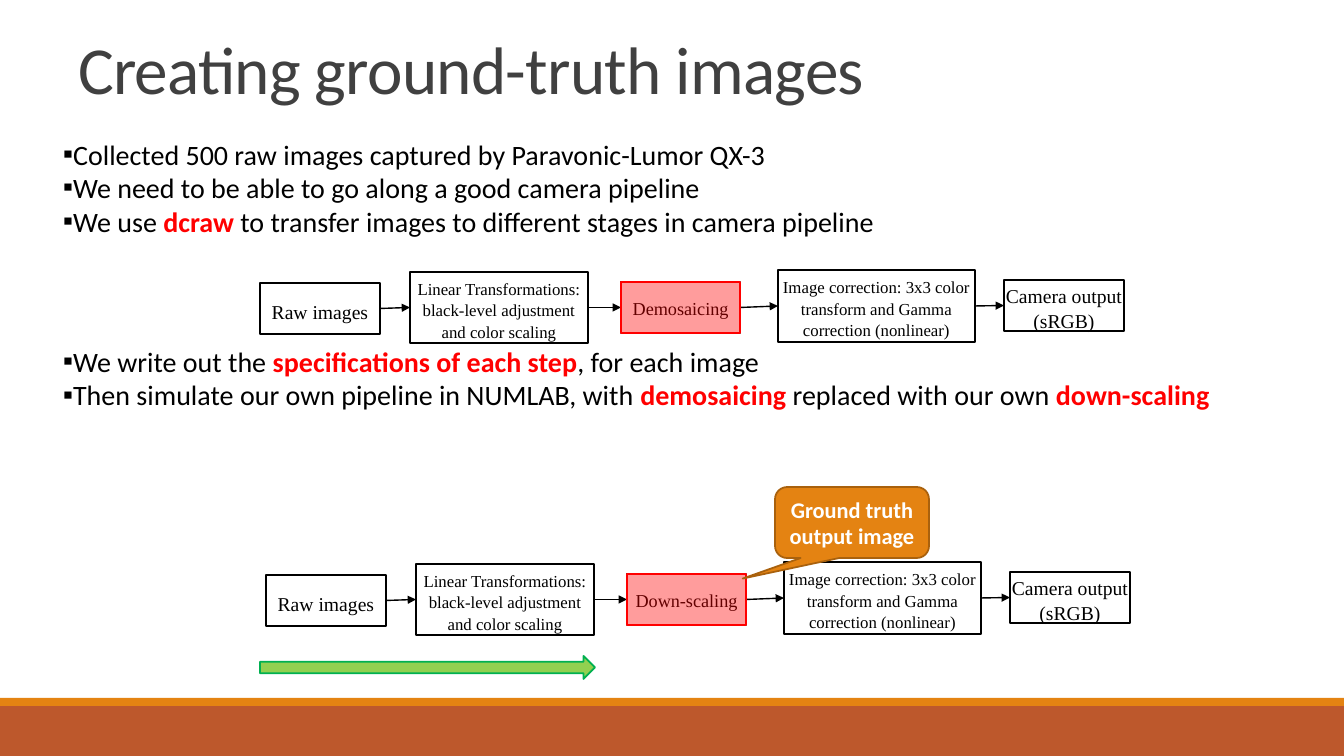
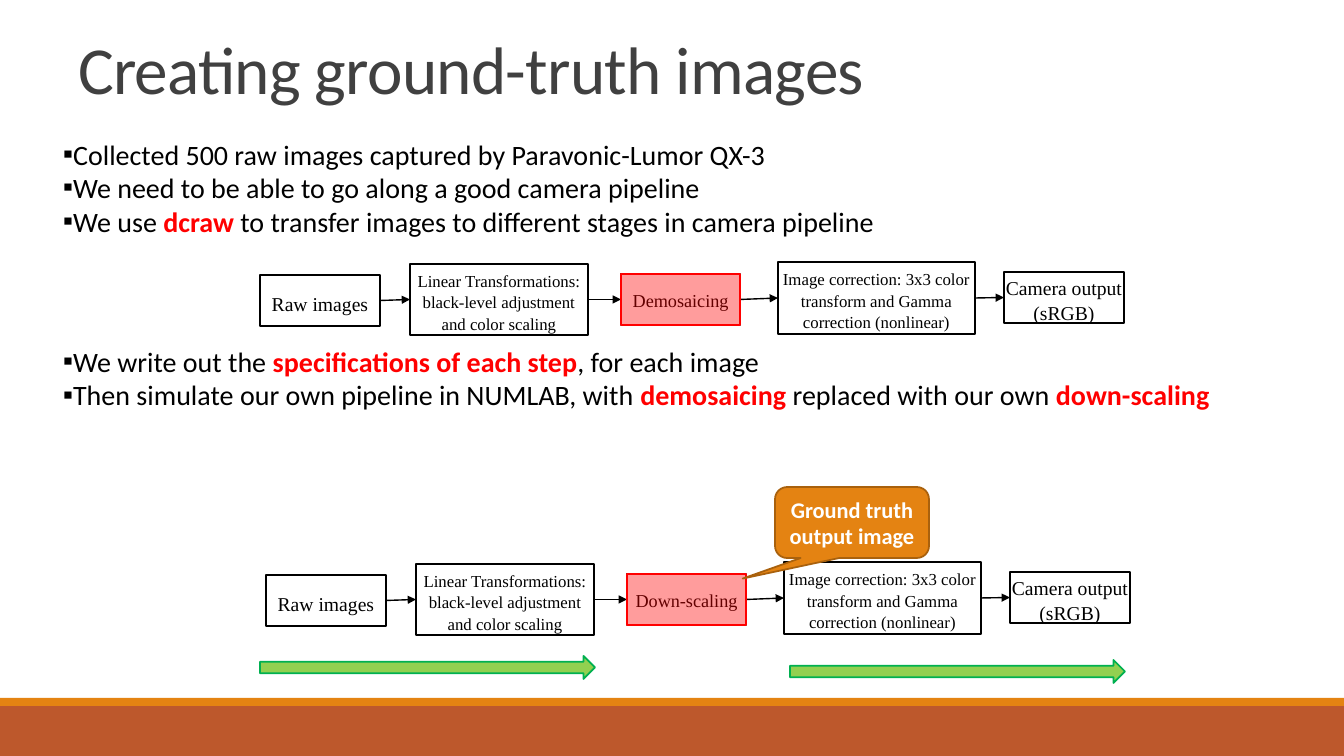
import pptx
import pptx.util
import pptx.oxml.ns
import pptx.dml.color
import pptx.enum.shapes
import pptx.enum.text
from lxml import etree

EMU_PER_PX = 914400 / 100.8
COLORS = {
    "band": "BD582C", "accent": "E48312", "accent_line": "A9610D",
    "title": "404040", "black": "000000", "white": "FFFFFF",
    "red": "FF0000", "green": "92D050", "green_line": "00B050",
}
BODY_FONT = "Calibri"
DIAGRAM_FONT = "Times New Roman"
SHAPES = pptx.enum.shapes.MSO_SHAPE
ANCHOR = pptx.enum.text.MSO_ANCHOR
ALIGN = pptx.enum.text.PP_ALIGN

SLIDE_SIZE = (1344, 756)
BANDS = [((0, 706, 1344, 50), "band"), ((0, 698, 1344, 8), "accent")]
TITLE = "Creating ground-truth images"
TITLE_BOX = (53, 31, 1246, 82)
BODY_BOX = (53, 132, 1267, 572)
DIAGRAM_GAP = 76
BULLETS = [
    (0, [("Collected 500 raw images captured by Paravonic-Lumor QX-3", False)]),
    (0, [("We need to be able to go along a good camera pipeline", False)]),
    (0, [("We use ", False), ("dcraw ", True),
         ("to transfer images to different stages in camera pipeline", False)]),
    (DIAGRAM_GAP, [("We write out the ", False), ("specifications of each step", True),
                   (", for each image", False)]),
    (0, [("Then simulate our own pipeline in NUMLAB, with ", False), ("demosaicing ", True),
         ("replaced with our own ", False), ("down-scaling", True)]),
]

HIGHLIGHT_STAGE = 2
STAGE_BOXES = [(0, 13, 120, 51), (150, 2, 178, 71), (361, 12, 119, 51),
               (518, 0, 197, 72), (744, 10, 120, 51)]
STAGE_SIZES = [14, 12, 13, 12, 14]
STAGE_TOP_INSETS = [4, 4, 0, 4, 4]


def stage_labels(highlight):
    return [
        ["Raw images"],
        ["Linear Transformations:", "black-level adjustment and color scaling"],
        [highlight],
        ["Image correction: 3x3 color transform and Gamma correction (nonlinear)"],
        ["Camera output (sRGB)"],
    ]


SIMULATED_ORIGIN = (266, 562)
CALLOUT_BOX = (775, 487, 154, 71)
CALLOUT_ADJUSTMENTS = (-0.71, 0.79, 0.17)
LEFT_ARROW = (260, 656, 335, 23)
RIGHT_ARROW = (790, 660, 335, 23)
SLIDES = [
    {"camera_origin": (260, 270), "arrows": [LEFT_ARROW]},
    {"camera_origin": (260, 262), "arrows": [LEFT_ARROW, RIGHT_ARROW]},
]


def px(value):
    return pptx.util.Emu(round(value * EMU_PER_PX))


def rgb(name):
    return pptx.dml.color.RGBColor.from_string(COLORS[name])


def add_run(paragraph, text, font, size, color, bold=False):
    run = paragraph.add_run()
    run.text = text
    run.font.name = font
    run.font.size = pptx.util.Pt(size)
    run.font.color.rgb = rgb(color)
    run.font.bold = bold
    return run


def add_block(slide, kind, box, fill, line=None):
    shape = slide.shapes.add_shape(kind, *map(px, box))
    shape.shadow.inherit = False
    shape.fill.solid()
    shape.fill.fore_color.rgb = rgb(fill)
    if line:
        shape.line.color.rgb = rgb(line)
        shape.line.width = pptx.util.Pt(1.25)
    else:
        shape.line.fill.background()
    return shape


def place(placeholder, box):
    placeholder.left, placeholder.top, placeholder.width, placeholder.height = map(px, box)
    frame = placeholder.text_frame
    frame.word_wrap = True
    frame.auto_size = pptx.enum.text.MSO_AUTO_SIZE.NONE
    return frame


def add_title(slide):
    frame = place(slide.shapes.title, TITLE_BOX)
    frame.margin_left = px(25)
    frame.vertical_anchor = ANCHOR.BOTTOM
    paragraph = frame.paragraphs[0]
    paragraph.alignment = ALIGN.LEFT
    paragraph.line_spacing = 0.85
    run = add_run(paragraph, TITLE, BODY_FONT, 48, "title")
    run.font._element.set("spc", "-50")


def add_bullets(slide):
    frame = place(slide.placeholders[1], BODY_BOX)
    frame.vertical_anchor = ANCHOR.TOP
    for index, (space_before, runs) in enumerate(BULLETS):
        paragraph = frame.add_paragraph() if index else frame.paragraphs[0]
        properties = paragraph._p.get_or_add_pPr()
        properties.set("marL", str(px(10)))
        properties.set("indent", str(px(-10)))
        qn = pptx.oxml.ns.qn
        etree.SubElement(properties, qn("a:buFont")).set("typeface", BODY_FONT)
        etree.SubElement(properties, qn("a:buChar")).set("char", "▪")
        paragraph.space_before = pptx.util.Pt(space_before)
        for text, emphasised in runs:
            add_run(paragraph, text, BODY_FONT, 20,
                    "red" if emphasised else "black", emphasised)


def add_stage(slide, box, lines, size, top_inset):
    stage = add_block(slide, SHAPES.RECTANGLE, box, "white", "black")
    frame = stage.text_frame
    frame.word_wrap = True
    frame.vertical_anchor = ANCHOR.MIDDLE
    frame.margin_left = frame.margin_right = frame.margin_bottom = 0
    frame.margin_top = px(top_inset)
    paragraph = frame.paragraphs[0]
    paragraph.alignment = ALIGN.CENTER
    paragraph.line_spacing = 1.07
    paragraph.space_after = pptx.util.Pt(8)
    for index, line in enumerate(lines):
        if index:
            paragraph.add_line_break()
        add_run(paragraph, line, DIAGRAM_FONT, size, "black")
    return stage


def join_stages(slide, source, target):
    connector = slide.shapes.add_connector(
        pptx.enum.shapes.MSO_CONNECTOR.STRAIGHT, 0, 0, 0, 0)
    connector.begin_connect(source, 3)
    connector.end_connect(target, 1)
    connector.line.color.rgb = rgb("black")
    connector.line.width = pptx.util.Pt(1)
    qn = pptx.oxml.ns.qn
    etree.SubElement(connector.line._get_or_add_ln(), qn("a:tailEnd")).set("type", "triangle")
    etree.SubElement(connector.element.spPr, qn("a:effectLst"))


def add_pipeline(slide, origin, highlight):
    boxes = [(origin[0] + left, origin[1] + top, width, height)
             for left, top, width, height in STAGE_BOXES]
    stages = [add_stage(slide, *details) for details in
              zip(boxes, stage_labels(highlight), STAGE_SIZES, STAGE_TOP_INSETS)]
    for source, target in zip(stages, stages[1:]):
        join_stages(slide, source, target)
    tint = add_block(slide, SHAPES.RECTANGLE, boxes[HIGHLIGHT_STAGE], "red", "red")
    qn = pptx.oxml.ns.qn
    color = tint.element.spPr.find(".//" + qn("a:srgbClr"))
    etree.SubElement(color, qn("a:alpha")).set("val", "39000")


def add_callout(slide):
    callout = add_block(slide, SHAPES.ROUNDED_RECTANGULAR_CALLOUT,
                        CALLOUT_BOX, "accent", "accent_line")
    for index, value in enumerate(CALLOUT_ADJUSTMENTS):
        callout.adjustments[index] = value
    frame = callout.text_frame
    frame.word_wrap = True
    frame.vertical_anchor = ANCHOR.MIDDLE
    paragraph = frame.paragraphs[0]
    paragraph.alignment = ALIGN.CENTER
    add_run(paragraph, "Ground truth output image", BODY_FONT, 16, "white", True)


def move_bands_to_layout(slide, layout):
    for box, color in BANDS:
        band = add_block(slide, SHAPES.RECTANGLE, box, color)
        layout.element.cSld.spTree.append(band.element)


def main():
    presentation = pptx.Presentation()
    presentation.slide_width, presentation.slide_height = map(px, SLIDE_SIZE)
    layout = presentation.slide_layouts[1]
    for index, content in enumerate(SLIDES):
        slide = presentation.slides.add_slide(layout)
        if index == 0:
            move_bands_to_layout(slide, layout)
        add_title(slide)
        add_bullets(slide)
        add_pipeline(slide, content["camera_origin"], "Demosaicing")
        add_pipeline(slide, SIMULATED_ORIGIN, "Down-scaling")
        add_callout(slide)
        for box in content["arrows"]:
            add_block(slide, SHAPES.RIGHT_ARROW, box, "green", "green_line")
    presentation.save("out.pptx")


if __name__ == "__main__":
    main()
